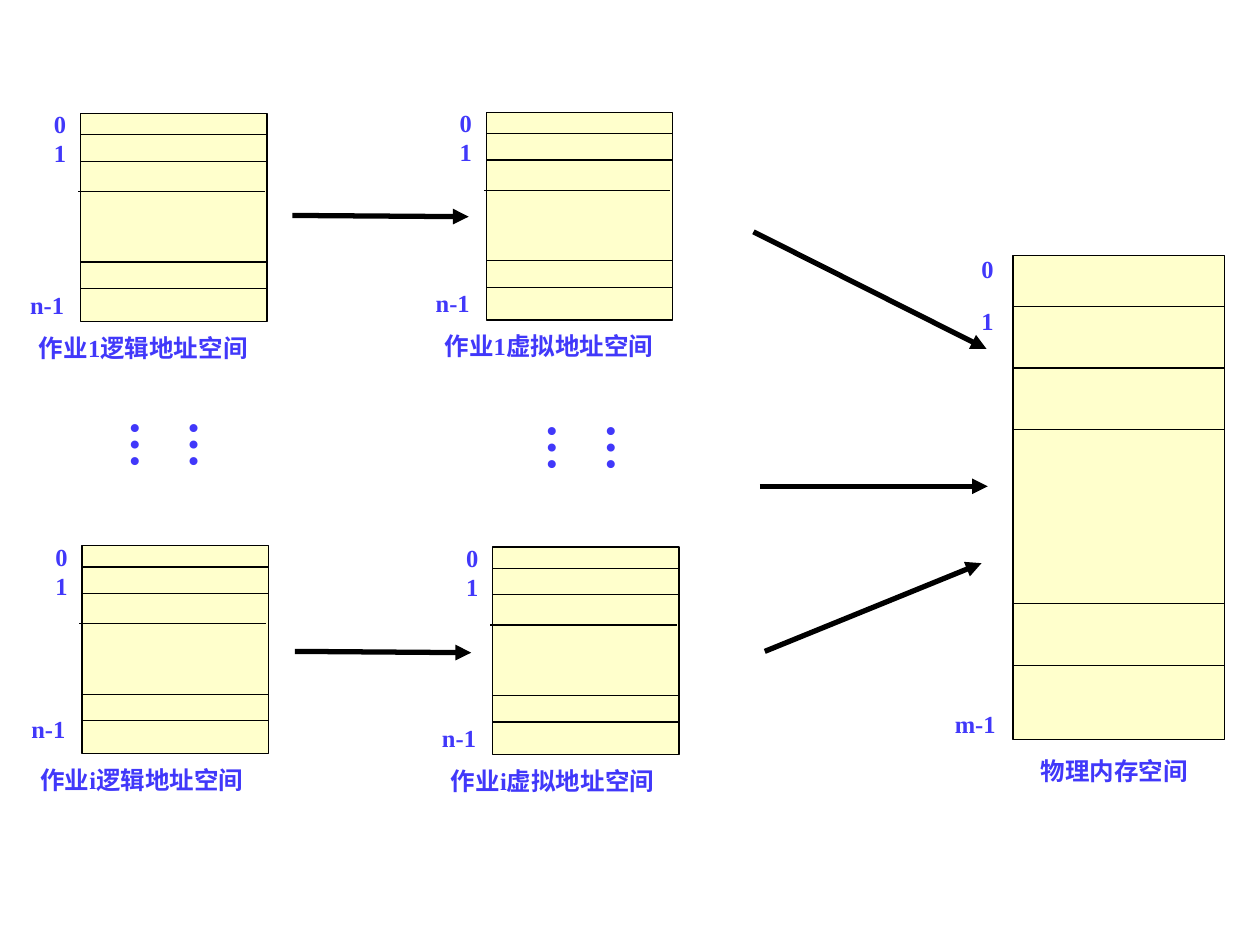
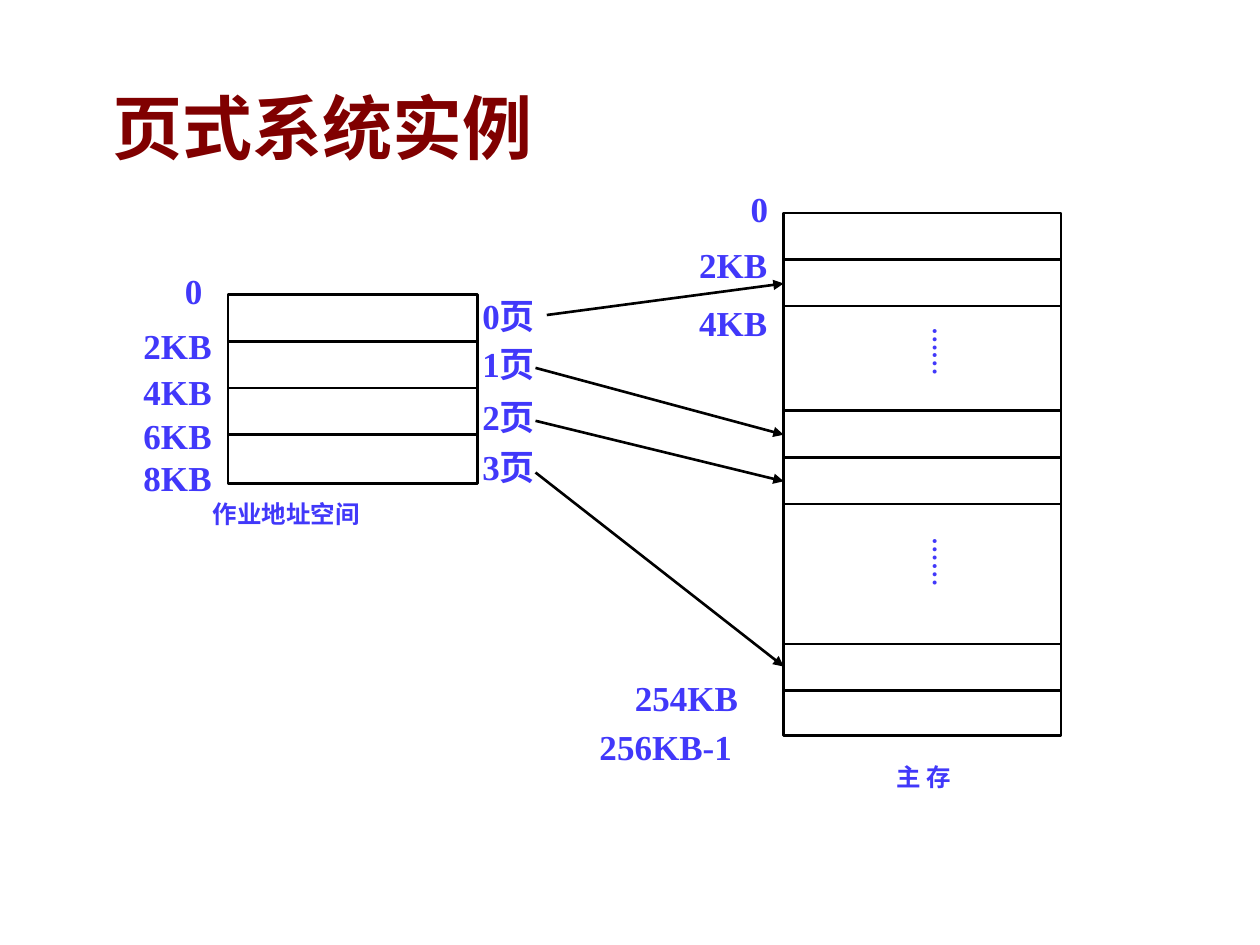
from lxml import etree
from pptx import Presentation
from pptx import util as u
from pptx.dml.color import RGBColor
from pptx.enum import shapes, text
from pptx.oxml.ns import qn

# Shared style: 100 px to the inch
PX = 9144
FONT = "Times New Roman"
INK = "000000"
LABEL = "4138FA"
TITLE = "800000"
CELL = "FFFFCC"


def px(*lengths):
    return [u.Emu(length * PX) for length in lengths]


def color(value):
    return RGBColor.from_string(value)


def add_text(canvas, content, box, size=14, font=FONT, ink=LABEL,
             align=None, grow=True, vertical=False, spacing=None):
    shape = canvas.add_textbox(*px(*box))
    frame = shape.text_frame
    frame.text = content
    frame.word_wrap = True
    if grow:
        frame.auto_size = text.MSO_AUTO_SIZE.SHAPE_TO_FIT_TEXT
    if vertical:
        shape.element.txBody.find(qn("a:bodyPr")).set("vert", "eaVert")
    paragraph = frame.paragraphs[0]
    paragraph.alignment = align
    paragraph.line_spacing = spacing
    for run in paragraph.runs:
        run.font.name = font
        run.font.size = u.Pt(size)
        run.font.bold = True
        run.font.color.rgb = color(ink)


def add_scale_label(canvas, content, left, top, width=88, height=35):
    add_text(canvas, content, (left, top, width, height), size=20,
             align=text.PP_ALIGN.JUSTIFY, grow=False)


def add_line(canvas, start, end, weight, arrow=False):
    line = canvas.add_connector(shapes.MSO_CONNECTOR.STRAIGHT,
                                *px(*start, *end))
    line.line.color.rgb = color(INK)
    line.line.width = u.Pt(weight)
    properties = line.element.spPr
    if arrow:
        outline = properties.find(qn("a:ln"))
        etree.SubElement(outline, qn("a:tailEnd"), type="triangle")
    etree.SubElement(properties, qn("a:effectLst"))


def add_memory(canvas, box, dividers, weight, fill=None):
    """Draw a memory box cut by lines at the given depths."""
    left, top, width, _ = box
    shape = canvas.add_shape(shapes.MSO_SHAPE.RECTANGLE, *px(*box))
    shape.shadow.inherit = False
    shape.line.color.rgb = color(INK)
    shape.line.width = u.Pt(weight)
    if fill:
        shape.fill.solid()
        shape.fill.fore_color.rgb = color(fill)
    else:
        shape.fill.background()
    for depth in dividers:
        add_line(canvas, (left, top + depth), (left + width, top + depth),
                 weight)


def add_job_space(slide, caption, left, top, last_label=135):
    canvas = slide.shapes.add_group_shape().shapes
    add_memory(canvas, (left, top, 148, 165), (17, 38, 118, 139), 0.75, CELL)
    add_line(canvas, (left - 2, top + 62), (left + 146, top + 62), 0.75)
    add_text(canvas, caption, (left - 43, top + 169, 195, 33))
    for content, dx, dy, width in (("0", -31, -8, 31), ("1", -31, 15, 31),
                                   ("n-1", -50, last_label, 74)):
        add_text(canvas, content, (left + dx, top + dy, width, 33))


def build_mapping_slide(slide):
    canvas = slide.shapes

    # Physical memory
    add_memory(canvas, (804, 203, 168, 384), (40, 89, 138, 276, 325),
               0.75, CELL)
    for content, left, top, width in (("物理内存空间", 816, 595, 153),
                                      ("0", 769, 197, 35),
                                      ("1", 769, 238, 35),
                                      ("m-1", 748, 558, 84)):
        add_text(canvas, content, (left, top, width, 33))

    # Logical and virtual spaces of the jobs
    add_job_space(slide, "作业1逻辑地址空间", 64, 90)
    add_job_space(slide, "作业i逻辑地址空间", 65, 433, last_label=129)
    add_job_space(slide, "作业1虚拟地址空间", 386, 89)
    add_job_space(slide, "作业i虚拟地址空间", 391, 434)
    for left, top in ((128, 324), (459, 326)):
        add_text(canvas, "……", (left, top, 67, 83), size=28, vertical=True)

    # Mapping arrows
    for start, end in (((232, 171), (372, 172)), ((234, 517), (374, 518)),
                       ((598, 184), (783, 277)), ((603, 386.5), (784, 386.5)),
                       ((607, 517), (779, 447))):
        add_line(canvas, [round(v) for v in start], [round(v) for v in end],
                 3, arrow=True)


def build_paging_slide(slide):
    add_text(slide.shapes, " 页式系统实例", (67, 70, 875, 67), size=40,
             font="Arial", ink=TITLE, spacing=0.9)
    canvas = slide.shapes.add_group_shape().shapes

    # Job address space with its pages
    add_memory(canvas, (181, 234, 198, 150), (37, 74, 111), 1.5)
    add_scale_label(canvas, "0", 137, 209, 47)
    for step, top in enumerate((253, 289, 324, 357), 1):
        add_scale_label(canvas, f"{2 * step}KB", 104, top)
    for page, top in enumerate((229, 267, 309, 349)):
        add_scale_label(canvas, f"{page}页", 373, top)
    add_text(canvas, "作业地址空间", (159, 391, 253, 34))

    # Main memory
    add_memory(canvas, (622, 169, 220, 415),
               (37, 74, 157, 194, 231, 342, 379), 1.5)
    add_scale_label(canvas, "0", 586, 144, 47)
    add_scale_label(canvas, "2KB", 545, 188)
    add_scale_label(canvas, "4KB", 545, 234)
    add_scale_label(canvas, "254KB", 494, 532, 161)
    add_scale_label(canvas, "256KB-1", 466, 571, 194, 46)
    add_text(canvas, "主 存", (677, 600, 113, 34),
             align=text.PP_ALIGN.CENTER)
    for top in (250, 417):
        add_text(canvas, "……", (722, top, 43, 67), vertical=True)

    # Page to frame arrows
    for start, frame_middle in (((434, 250), 225), ((425, 292), 345),
                                ((425, 334), 382), ((425, 375), 529)):
        add_line(canvas, start, (622, frame_middle), 1.5, arrow=True)


def main():
    presentation = Presentation()
    presentation.slide_width, presentation.slide_height = px(1000, 750)
    blank = presentation.slide_layouts[6]
    for build in (build_mapping_slide, build_paging_slide):
        build(presentation.slides.add_slide(blank))
    presentation.save("out.pptx")


if __name__ == "__main__":
    main()
